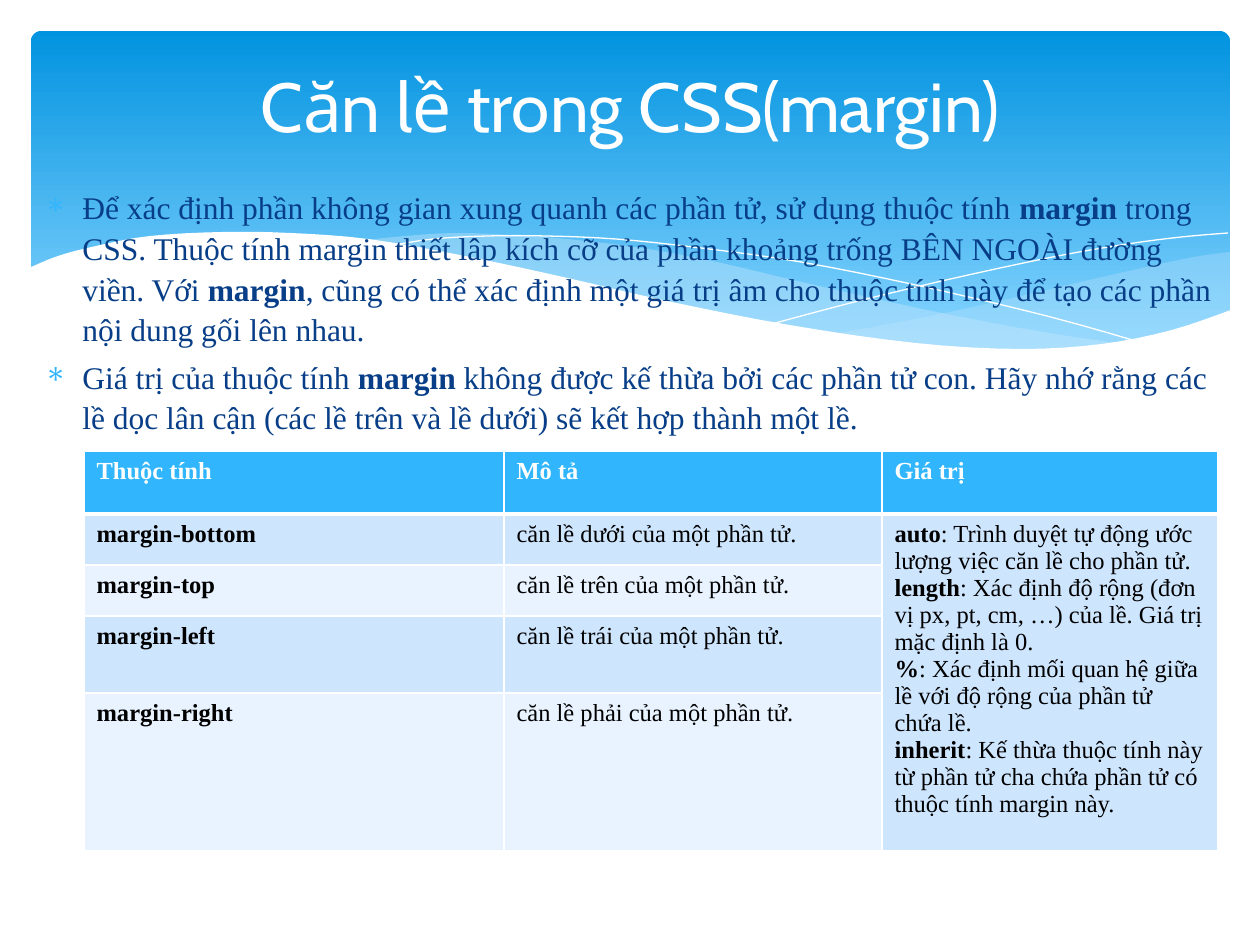
from typing import NamedTuple

import lxml.etree
import pptx
import pptx.dml.color
import pptx.enum.shapes
import pptx.enum.text
import pptx.oxml.ns
import pptx.util

COLORS = {
    "white": "FFFFFF", "black": "000000", "navy": "073E87", "accent": "31B6FD",
    "sky_dark": "0293E0", "sky_light": "83D3FE", "haze": "C6E7FC",
    "band_dark": "CEE5FE", "band_light": "E8F3FF",
}
SERIF = "Times New Roman"


class Run(NamedTuple):
    text: str
    bold: bool = False


class Wave(NamedTuple):
    edges: list
    fill: str | None = None
    alpha: int = 100


WAVES = [
    Wave([[(1230, 252), (1194, 257), (1142, 268), (1085, 281), (982, 305), (890, 324), (833, 334)],
          [(833, 334), (888, 341), (954, 348), (1026, 350), (1087, 347), (1140, 339), (1187, 326),
           (1230, 311)]], "haze", 29),
    Wave([[(1125, 344), (1055, 334), (977, 320), (890, 302), (793, 280), (717, 262), (648, 249),
           (586, 241), (529, 236), (455, 233), (394, 237), (360, 241)],
          [(360, 241), (431, 251), (509, 266), (566, 280), (668, 302), (757, 321), (838, 335),
           (910, 345), (974, 349), (1043, 350), (1092, 348), (1125, 344)]], "haze", 40),
    Wave([[(389, 246), (433, 239), (488, 236), (546, 236), (616, 239), (701, 248), (801, 262),
           (916, 285), (1047, 316), (1143, 343)]]),
    Wave([[(772, 324), (847, 304), (942, 281), (1053, 257), (1128, 244), (1182, 237), (1228, 233)]]),
    Wave([[(1231, 310), (1172, 330), (1102, 344), (1019, 349), (915, 343), (789, 325), (667, 301),
           (563, 277), (460, 255), (368, 239), (290, 233), (223, 232), (150, 236), (96, 246),
           (58, 256), (29, 268)],
          [(29, 415), (1231, 415)]], "white"),
]

BODY = [
    [Run("Để xác định phần không gian xung quanh các phần tử, sử dụng thuộc tính "),
     Run("margin ", True),
     Run("trong CSS. Thuộc tính margin thiết lâp kích cỡ của phần khoảng trống BÊN NGOÀI đường viền. Với "),
     Run("margin", True),
     Run(", cũng có thể xác định một giá trị âm cho thuộc tính này để tạo các phần nội dung gối lên nhau.")],
    [Run("Giá trị của thuộc tính "), Run("margin", True),
     Run(" không được kế thừa bởi các phần tử con. Hãy nhớ rằng các lề dọc lân cận "
         "(các lề trên và lề dưới) sẽ kết hợp thành một lề.")],
]

HEADERS = ["Thuộc tính", "Mô tả", "Giá trị"]
SIDES = [("bottom", "dưới"), ("top", "trên"), ("left", "trái"), ("right", "phải")]
VALUES = [
    ("auto", "Trình duyệt tự động ước lượng việc căn lề cho phần tử."),
    ("length", "Xác định độ rộng (đơn vị px, pt, cm, …) của lề. Giá trị mặc định là 0."),
    ("%", "Xác định mối quan hệ giữa lề với độ rộng của phần tử chứa lề."),
    ("inherit", "Kế thừa thuộc tính này từ phần tử cha chứa phần tử có thuộc tính margin này."),
]
COL_WIDTHS = [420, 378, 336]
ROW_HEIGHTS = [63, 51, 51, 77, 158]


def px(n: float) -> int:
    return pptx.util.Emu(round(n * 914400 / 126))


def rgb(name: str) -> pptx.dml.color.RGBColor:
    return pptx.dml.color.RGBColor.from_string(COLORS[name])


def add_xml(parent, tag: str, **attrs: str):
    return lxml.etree.SubElement(parent, pptx.oxml.ns.qn(tag), attrs)


def smooth(knots: list, steps: int = 4) -> list:
    ends = [knots[0], *knots, knots[-1]]
    points = [knots[0]]
    for a, b, c, d in zip(ends, ends[1:], ends[2:], ends[3:]):
        for i in range(1, steps + 1):
            t = i / steps
            points.append(tuple(
                (2 * q + (s - o) * t + (2 * o - 5 * q + 4 * s - u) * t**2
                 + (3 * q - o - 3 * s + u) * t**3) / 2
                for o, q, s, u in zip(a, b, c, d)))
    return points


def draw_sky(shapes) -> None:
    sp = shapes.add_shape(pptx.enum.shapes.MSO_SHAPE.ROUNDED_RECTANGLE,
                          px(31), px(31), px(1199), px(340))
    sp.adjustments[0] = 0.03
    sp.shadow.inherit = False
    sp.line.fill.background()
    sp.fill.gradient()
    sp.fill.gradient_angle = 270
    for stop, color, position in zip(sp.fill.gradient_stops, ("sky_dark", "sky_light"), (0, 0.9)):
        stop.color.rgb = rgb(color)
        stop.position = position


def draw_wave(shapes, wave: Wave) -> None:
    points = [(px(x), px(y)) for edge in wave.edges for x, y in smooth(edge)]
    builder = shapes.build_freeform(*points[0])
    builder.add_line_segments(points[1:], close=wave.fill is not None)
    sp = builder.convert_to_shape()
    sp.shadow.inherit = False
    if wave.fill is None:
        sp.fill.background()
        sp.line.color.rgb = rgb("white")
        sp.line.width = 0
        return
    sp.line.fill.background()
    sp.fill.solid()
    sp.fill.fore_color.rgb = rgb(wave.fill)
    if wave.alpha < 100:
        color = sp._element.spPr.find(".//" + pptx.oxml.ns.qn("a:srgbClr"))
        add_xml(color, "a:alpha", val=str(wave.alpha * 1000))


def add_runs(p, runs: list, size: float, color: str, font: str = SERIF) -> None:
    for run in runs:
        r = p.add_run()
        r.text = run.text
        r.font.size = pptx.util.Pt(size)
        r.font.name = font
        r.font.bold = run.bold
        r.font.color.rgb = rgb(color)


def paragraphs(tf, count: int) -> list:
    return [tf.paragraphs[0]] + [tf.add_paragraph() for _ in range(count - 1)]


def draw_body(shapes) -> None:
    tf = shapes.add_textbox(px(32), px(179), px(1197), px(665)).text_frame
    tf.word_wrap = True
    for p, runs in zip(paragraphs(tf, len(BODY)), BODY):
        p.line_spacing = 1.08
        p.space_before = pptx.util.Pt(3.6)
        pPr = p._p.get_or_add_pPr()
        pPr.set("marL", str(px(38)))
        pPr.set("indent", str(px(-38)))
        add_xml(add_xml(pPr, "a:buClr"), "a:srgbClr", val=COLORS["accent"])
        add_xml(pPr, "a:buChar", char="∗")
        add_runs(p, runs, 18, "navy")


def draw_title(shapes) -> None:
    tf = shapes.add_textbox(px(63), px(73), px(1134), px(146)).text_frame
    tf.word_wrap = True
    tf.margin_top, tf.margin_bottom = 0, px(82)
    tf.vertical_anchor = pptx.enum.text.MSO_ANCHOR.MIDDLE
    p = tf.paragraphs[0]
    p.alignment = pptx.enum.text.PP_ALIGN.CENTER
    add_runs(p, [Run("Căn lề trong CSS(margin)")], 39.6, "white", "Cabin")


def style_cell(cell, row: int) -> None:
    tcPr = cell._tc.get_or_add_tcPr()
    thick = {(0, "B"), (1, "T")}
    for side in "LRTB":
        width = pptx.util.Pt(3 if (row, side) in thick else 1)
        ln = add_xml(tcPr, f"a:ln{side}", w=str(width))
        add_xml(add_xml(ln, "a:solidFill"), "a:srgbClr", val=COLORS["white"])
    cell.fill.solid()
    band = "band_dark" if row % 2 else "band_light"
    cell.fill.fore_color.rgb = rgb(band if row else "accent")


def draw_table(shapes) -> None:
    table = shapes.add_table(len(ROW_HEIGHTS), len(COL_WIDTHS), px(84), px(451),
                             px(sum(COL_WIDTHS)), px(sum(ROW_HEIGHTS))).table
    for col, width in zip(table.columns, COL_WIDTHS):
        col.width = px(width)
    for row, height in zip(table.rows, ROW_HEIGHTS):
        row.height = px(height)
    table.cell(1, 2).merge(table.cell(4, 2))

    contents = [[[[Run(h, True)]] for h in HEADERS]]
    contents += [[[[Run(f"margin-{side}", True)]], [[Run(f"căn lề {word} của một phần tử.")]]]
                 for side, word in SIDES]
    contents[1].append([[Run(name, True), Run(f": {text}")] for name, text in VALUES])
    for i, row in enumerate(table.rows):
        for cell in row.cells:
            style_cell(cell, i)
        for cell, lines in zip(row.cells, contents[i]):
            for p, runs in zip(paragraphs(cell.text_frame, len(lines)), lines):
                add_runs(p, runs, 14, "black" if i else "white")


def main() -> None:
    prs = pptx.Presentation()
    prs.slide_width, prs.slide_height = px(1260), px(945)
    s = prs.slides.add_slide(prs.slide_layouts[6])
    draw_sky(s.shapes)
    for wave in WAVES:
        draw_wave(s.shapes, wave)
    draw_body(s.shapes)
    draw_title(s.shapes)
    draw_table(s.shapes)
    prs.save("out.pptx")


if __name__ == "__main__":
    main()
